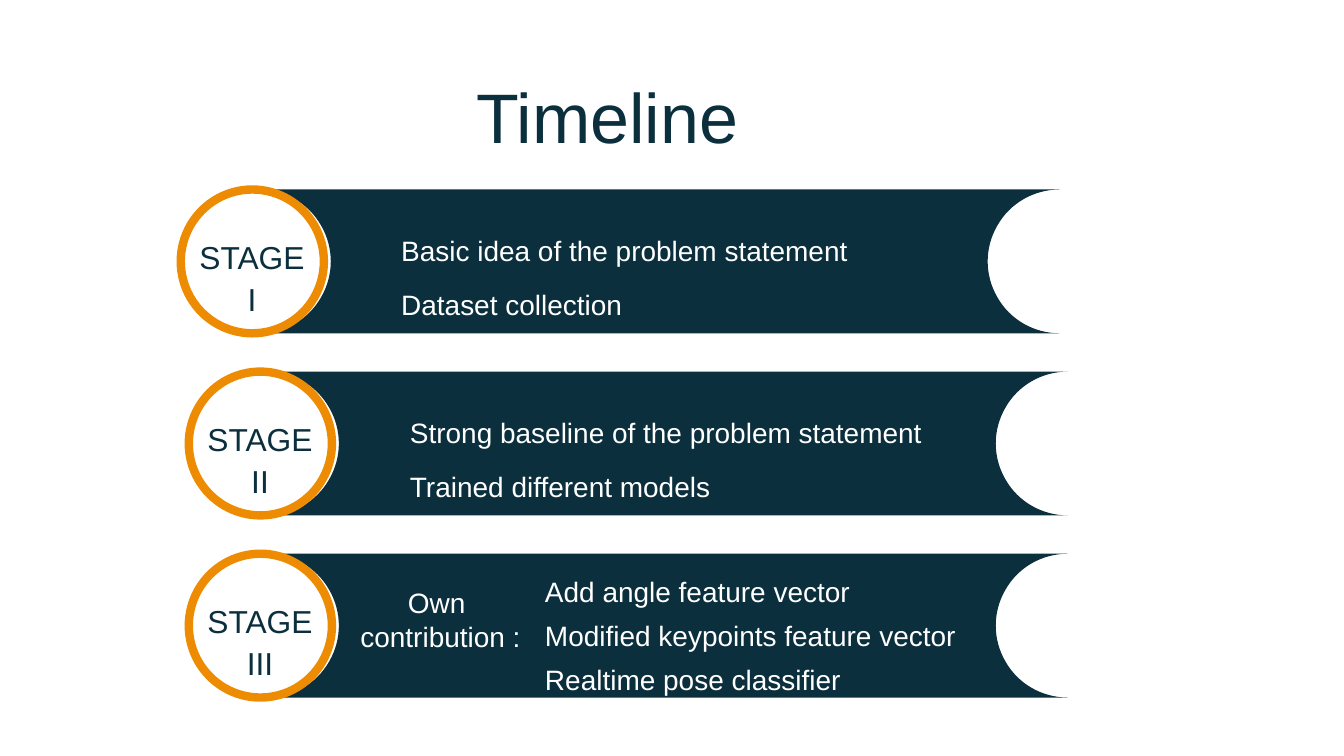
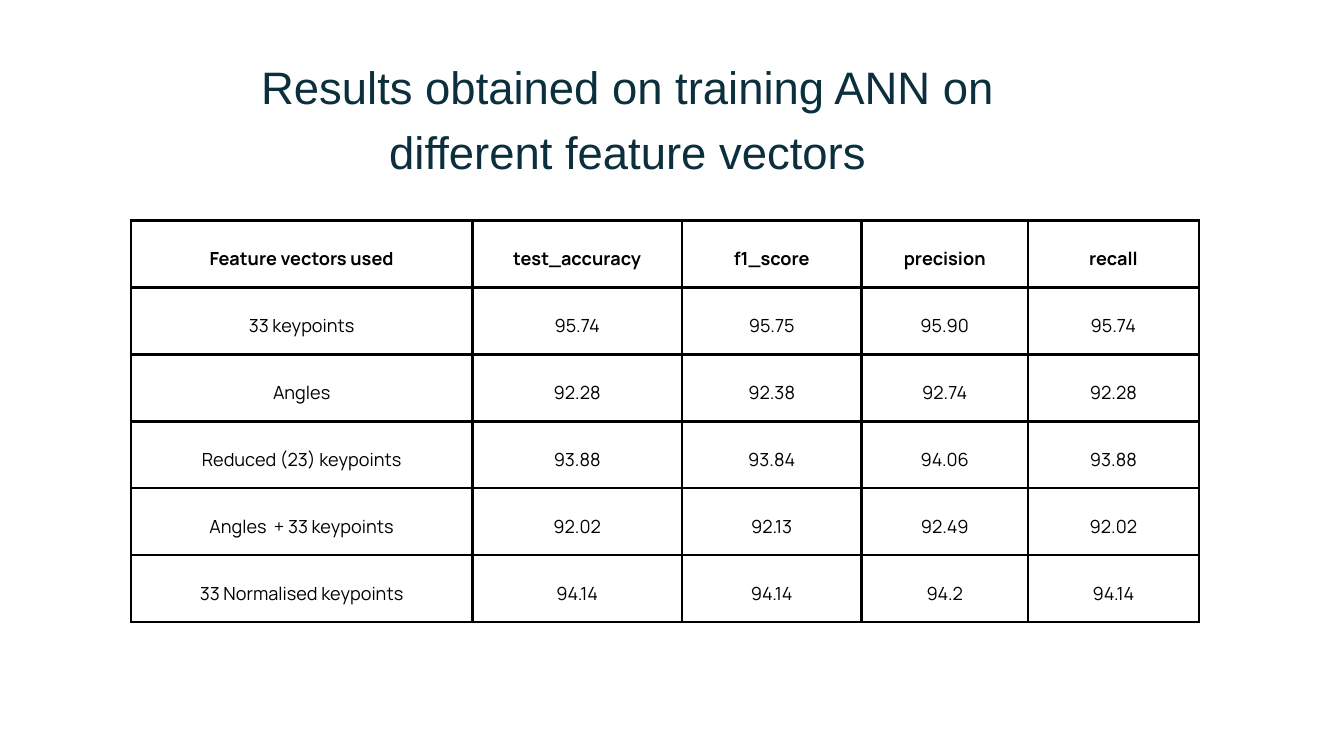
from dataclasses import dataclass

from lxml import etree
from pptx import Presentation
from pptx import util as u
from pptx.dml.color import RGBColor
from pptx.enum import shapes, text
from pptx.oxml import ns

PX = 9144  # EMU in one px; 100 px make an inch
PAGE_WIDTH, PAGE_HEIGHT = 2000, 1125
COLORS = {"navy": "0B2F3D", "orange": "ED8C02", "white": "FFFFFF", "black": "000000"}
TITLE_FONT, TABLE_FONT = "Arial", "Manrope"
LEFT, CENTER = text.PP_ALIGN.LEFT, text.PP_ALIGN.CENTER

STAGE_TOP, STAGE_PITCH = 282, 271
BADGE_SIZE = 213
BAND_OFFSET, BAND_WIDTH, BAND_HEIGHT = 116, 1192, 214
# Depth and drop of the Bézier points of a band's curved end, three curves in all
END_CURVE = [(0, 0), (38, 0), (74, 20), (93, 54), (112, 87),
             (112, 127), (93, 160), (74, 194), (38, 214), (0, 214)]

TABLE_LEFT, TABLE_TOP, TABLE_HEIGHT = 195, 328, 598
COLUMN_WIDTHS = [508, 312, 267, 248, 254]
CELL_MARGIN, BORDER_POINTS = 21, 3
RESULTS = [
    ["Feature vectors used", "test_accuracy", "f1_score", "precision", "recall"],
    ["33 keypoints", "95.74", "95.75", "95.90", "95.74"],
    ["Angles", "92.28", "92.38", "92.74", "92.28"],
    ["Reduced (23) keypoints", "93.88", "93.84", "94.06", "93.88"],
    ["Angles  + 33 keypoints", "92.02", "92.13", "92.49", "92.02"],
    ["33 Normalised keypoints", "94.14", "94.14", "94.2", "94.14"],
]


@dataclass(frozen=True)
class Style:
    size: float
    color: str
    spacing: float = 1.0
    align: text.PP_ALIGN = LEFT
    font: str = TITLE_FONT
    bold: bool = False


@dataclass(frozen=True)
class Label:
    left: int
    top: int
    width: int
    height: int
    words: str
    style: Style


@dataclass(frozen=True)
class Stage:
    numeral: str
    left: int
    notes: list[Label]


BADGE_STYLE = Style(34, "navy", 1.1, CENTER)
NOTE_STYLE = Style(30, "white", 1.6)
STAGES = [
    Stage("I", 269, [
        Label(597, 318, 967, 129,
              "Basic idea of the problem statement\nDataset collection", NOTE_STYLE),
    ]),
    Stage("II", 281, [
        Label(610, 589, 941, 129,
              "Strong baseline of the problem statement\nTrained different models", NOTE_STYLE),
    ]),
    Stage("III", 281, [
        Label(811, 839, 865, 183,
              "Add angle feature vector\nModified keypoints feature vector\n"
              "Realtime pose classifier", Style(30, "white", 1.31)),
        Label(500, 872, 311, 101, "Own \ncontribution :", Style(30, "white", 1.0, CENTER)),
    ]),
]
TIMELINE_TITLE = Label(709, 123, 743, 102, "Timeline", Style(75, "navy", 0.9))
RESULTS_TITLE = Label(
    330, 71, 1208, 160, "Results obtained on training ANN on different feature vectors",
    Style(48.7, "navy", 1.2, CENTER))


def px(length: float) -> u.Emu:
    return u.Emu(round(length * PX))


def rgb(name: str) -> RGBColor:
    return RGBColor.from_string(COLORS[name])


def write(frame, words: str, style: Style) -> None:
    frame.text = words
    for para in frame.paragraphs:
        para.alignment = style.align
        para.line_spacing = style.spacing
        for span in para.runs:
            span.font.name = style.font
            span.font.size = u.Pt(style.size)
            span.font.bold = style.bold
            span.font.color.rgb = rgb(style.color)


def add_label(page, label: Label) -> None:
    box = page.shapes.add_textbox(
        px(label.left), px(label.top), px(label.width), px(label.height))
    frame = box.text_frame
    frame.margin_left = frame.margin_right = frame.margin_top = frame.margin_bottom = 0
    frame.word_wrap = True
    frame.auto_size = text.MSO_AUTO_SIZE.SHAPE_TO_FIT_TEXT
    write(frame, label.words, label.style)


def curve_segments(lines: list) -> None:
    """Turn each run of three straight segments into one Bézier curve."""
    for start in range(0, len(lines), 3):
        curve = etree.Element(ns.qn("a:cubicBezTo"))
        lines[start].addprevious(curve)
        for line in lines[start:start + 3]:
            curve.append(line[0])
            line.getparent().remove(line)


def add_band(page, left: int, top: int) -> None:
    """Draw a bar whose two ends both curve: the left end in, the right end in."""
    right = left + BAND_WIDTH
    points = [(px(right - depth), px(top + drop)) for depth, drop in END_CURVE]
    points += [(px(left + depth), px(top + drop)) for depth, drop in reversed(END_CURVE)]
    builder = page.shapes.build_freeform(*points[0])
    builder.add_line_segments(points[1:], close=True)
    band = builder.convert_to_shape()
    lines = list(band._element.iter(ns.qn("a:lnTo")))
    bottom_edge = len(END_CURVE) - 1
    curve_segments(lines[:bottom_edge])
    curve_segments(lines[bottom_edge + 1:])
    band.shadow.inherit = False
    band.fill.solid()
    band.fill.fore_color.rgb = rgb("navy")
    band.line.fill.background()


def add_badge(page, left: int, top: int) -> None:
    badge = page.shapes.add_shape(
        shapes.MSO_SHAPE.OVAL, px(left), px(top), px(BADGE_SIZE), px(BAND_HEIGHT))
    badge.shadow.inherit = False
    badge.fill.solid()
    badge.fill.fore_color.rgb = rgb("white")
    badge.line.color.rgb = rgb("orange")
    badge.line.width = u.Pt(9)


def add_stage(page, stage: Stage, top: int) -> None:
    add_band(page, stage.left + BAND_OFFSET, top)
    add_badge(page, stage.left, top)
    add_label(page, Label(stage.left + 11, top + 66, 190, 104,
                          f"STAGE\n{stage.numeral}", BADGE_STYLE))
    for note in stage.notes:
        add_label(page, note)


def add_borders(cell) -> None:
    properties = cell._tc.get_or_add_tcPr()
    for side in ("a:lnL", "a:lnR", "a:lnT", "a:lnB"):
        line = etree.SubElement(properties, ns.qn(side), w=str(u.Pt(BORDER_POINTS)))
        fill = etree.SubElement(line, ns.qn("a:solidFill"))
        etree.SubElement(fill, ns.qn("a:srgbClr"), val=COLORS["black"])


def add_results_table(page) -> None:
    table = page.shapes.add_table(
        len(RESULTS), len(COLUMN_WIDTHS), px(TABLE_LEFT), px(TABLE_TOP),
        px(sum(COLUMN_WIDTHS)), px(TABLE_HEIGHT)).table
    table.first_row = table.horz_banding = False
    for column, width in zip(table.columns, COLUMN_WIDTHS):
        column.width = px(width)
    for row_index, (row, values) in enumerate(zip(table.rows, RESULTS)):
        row.height = px(TABLE_HEIGHT / len(RESULTS))
        style = Style(19.4, "black", 1.4, CENTER, TABLE_FONT, bold=row_index == 0)
        for cell, value in zip(row.cells, values):
            cell.margin_left = cell.margin_right = px(CELL_MARGIN)
            cell.margin_top = cell.margin_bottom = px(CELL_MARGIN)
            cell.vertical_anchor = text.MSO_ANCHOR.MIDDLE
            add_borders(cell)
            cell.fill.background()
            write(cell.text_frame, value, style)


def add_page(deck):
    page = deck.slides.add_slide(deck.slide_layouts[6])
    page.background.fill.solid()
    page.background.fill.fore_color.rgb = rgb("white")
    return page


def main() -> None:
    deck = Presentation()
    deck.slide_width, deck.slide_height = px(PAGE_WIDTH), px(PAGE_HEIGHT)

    timeline = add_page(deck)
    add_label(timeline, TIMELINE_TITLE)
    for index, stage in enumerate(STAGES):
        add_stage(timeline, stage, STAGE_TOP + index * STAGE_PITCH)

    results = add_page(deck)
    add_results_table(results)
    add_label(results, RESULTS_TITLE)

    deck.save("out.pptx")


if __name__ == "__main__":
    main()
